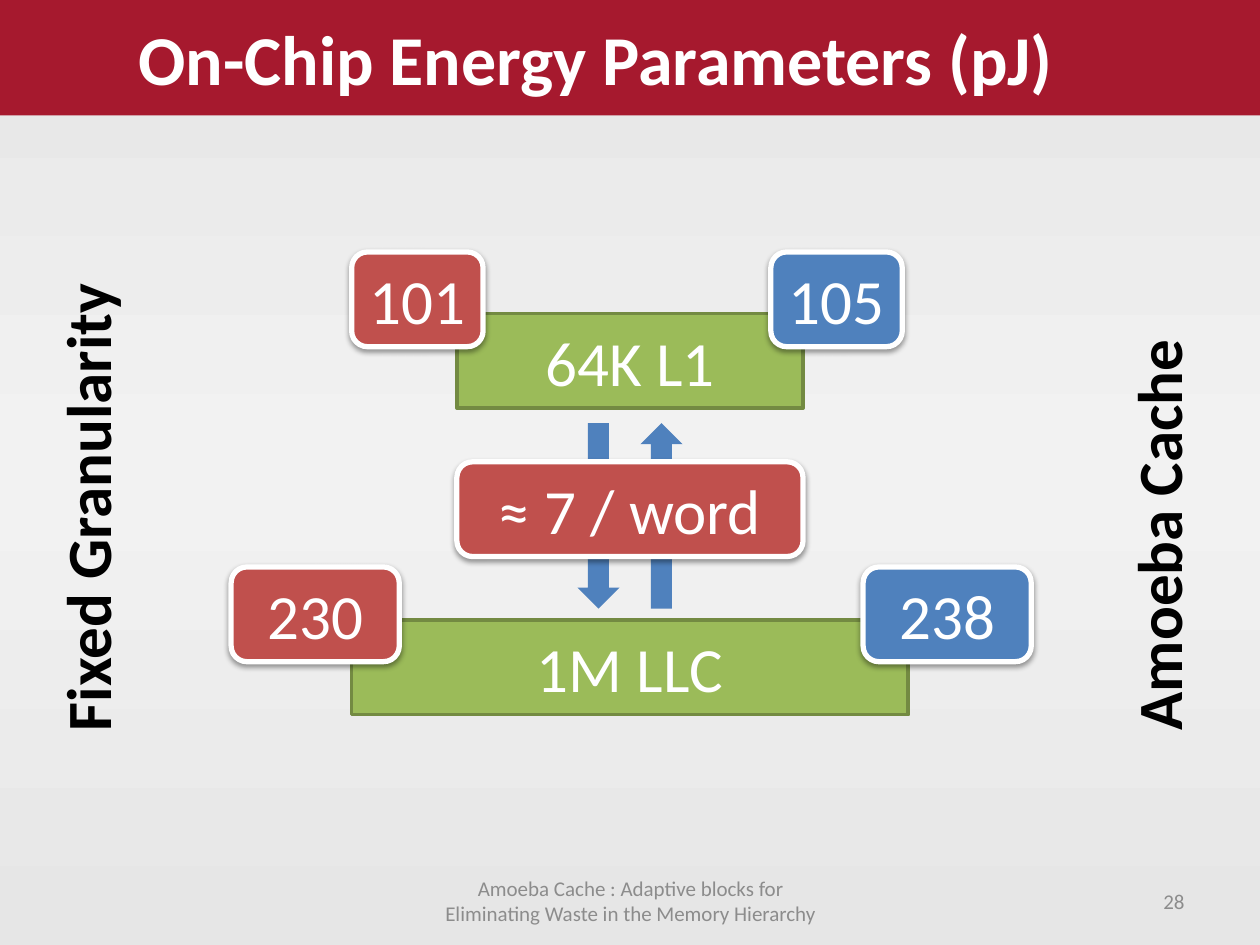
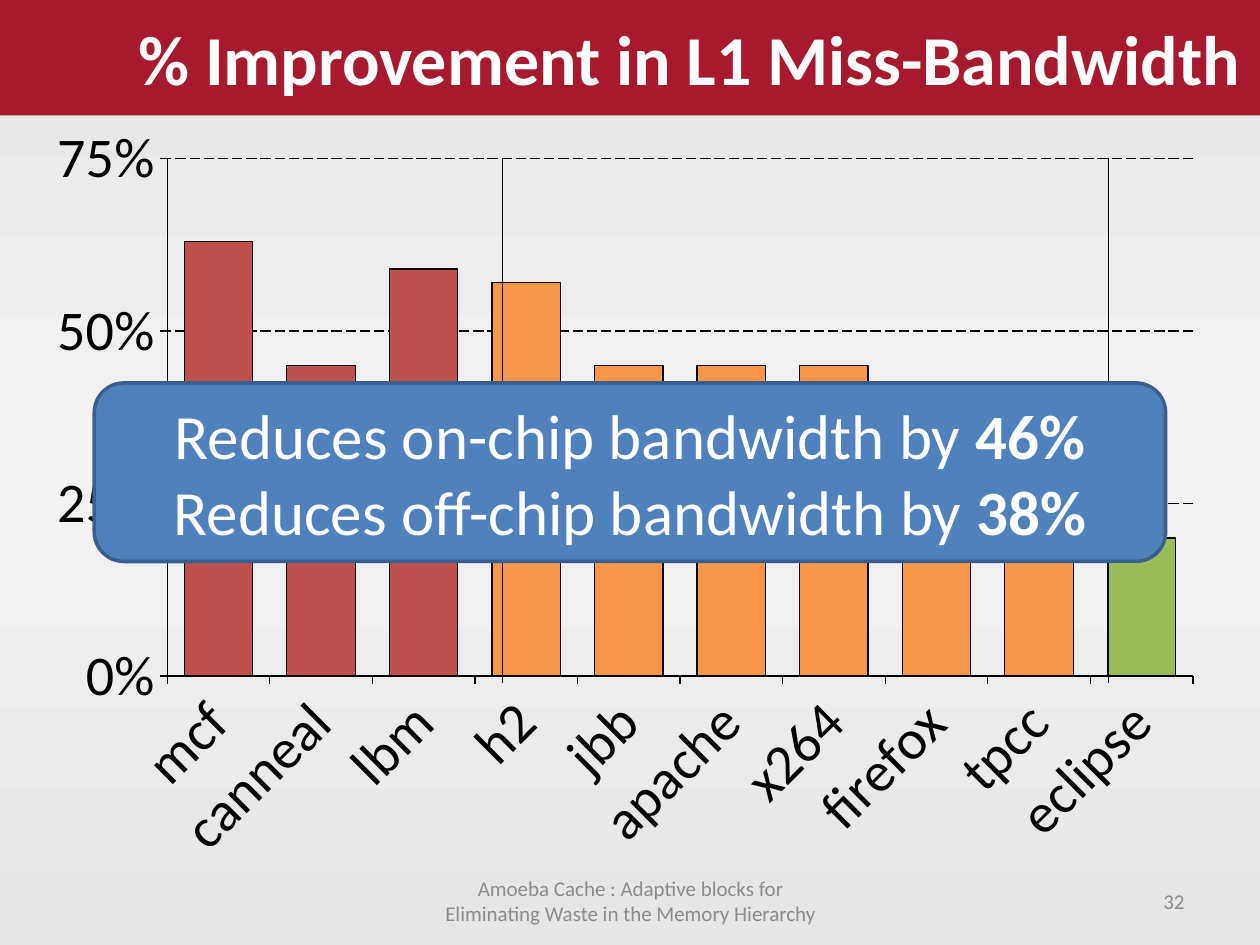
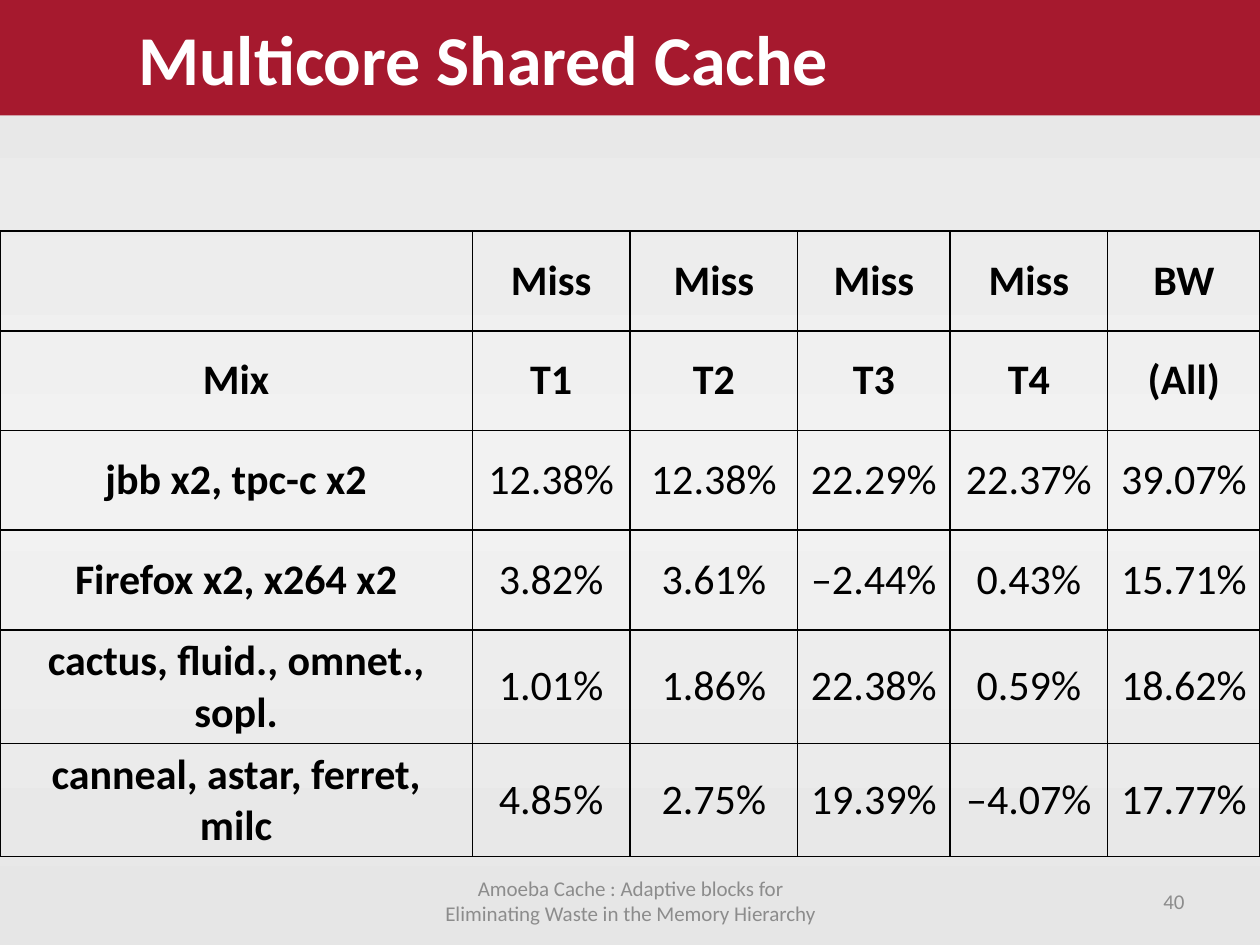
from copy import deepcopy

from pptx import Presentation
from pptx.chart.data import CategoryChartData
from pptx.dml.color import RGBColor
from pptx.enum.chart import XL_CHART_TYPE
from pptx.enum.dml import MSO_LINE
from pptx.enum.shapes import MSO_CONNECTOR, MSO_SHAPE
from pptx.enum.text import MSO_ANCHOR, PP_ALIGN
from pptx.oxml import parse_xml
from pptx.oxml.ns import nsdecls
from pptx.util import Cm, Pt

COLUMNS = XL_CHART_TYPE.COLUMN_CLUSTERED
LONG_DASH = MSO_LINE.LONG_DASH
STRAIGHT = MSO_CONNECTOR.STRAIGHT
RECT, ROUNDED = MSO_SHAPE.RECTANGLE, MSO_SHAPE.ROUNDED_RECTANGLE
DOWN, UP = MSO_SHAPE.DOWN_ARROW, MSO_SHAPE.UP_ARROW
TOP, MIDDLE = MSO_ANCHOR.TOP, MSO_ANCHOR.MIDDLE
LEFT, CENTER, RIGHT = PP_ALIGN.LEFT, PP_ALIGN.CENTER, PP_ALIGN.RIGHT

FONT = "Calibri"
BLACK = RGBColor(0x00, 0x00, 0x00)
WHITE = RGBColor(0xFF, 0xFF, 0xFF)
CRIMSON = RGBColor(0xA6, 0x19, 0x2E)
GRAY = RGBColor(0x8C, 0x8C, 0x8C)
BG_EDGE = RGBColor(0xE6, 0xE6, 0xE6)
BG_MIDDLE = RGBColor(0xF2, 0xF2, 0xF2)
GREEN = RGBColor(0x9B, 0xBB, 0x59)
DARK_GREEN = RGBColor(0x73, 0x8A, 0x42)
RED = RGBColor(0xC0, 0x50, 0x4D)
BLUE = RGBColor(0x4F, 0x81, 0xBD)
DARK_BLUE = RGBColor(0x3A, 0x5F, 0x8C)
ORANGE = RGBColor(0xF7, 0x96, 0x46)

SLIDE_W, SLIDE_H = 25.4, 19.05
BAND_H = 2.33
FOOTER = "Amoeba Cache : Adaptive blocks for Eliminating Waste in the Memory Hierarchy"

# Energy slide: text, left, top, width, (colour)
BOX_H = 1.91
CACHES = [("64K L1", 9.21, 6.32, 6.98), ("1M LLC", 7.09, 12.5, 11.22)]
BADGES = [
    ("101", 7.09, 5.08, 2.65, RED),
    ("230", 4.66, 11.43, 3.39, RED),
    ("≈ 7 / word", 9.21, 9.31, 6.98, RED),
    ("105", 15.54, 5.08, 2.65, BLUE),
    ("238", 17.4, 11.43, 3.39, BLUE),
]
ARROWS = [(DOWN, 11.64), (UP, 12.91)]
SIDE_LABELS = [("Fixed Granularity", 0.85, 5.61, 9.38),
               ("Amoeba Cache", 22.44, 6.76, 8.21)]

# Bandwidth slide
IMPROVEMENT = [
    ("mcf", 0.63, RED), ("canneal", 0.45, RED), ("lbm", 0.59, RED),
    ("h2", 0.57, ORANGE), ("jbb", 0.45, ORANGE), ("apache", 0.45, ORANGE),
    ("x264", 0.45, ORANGE), ("firefox", 0.32, ORANGE), ("tpcc", 0.4, ORANGE),
    ("eclipse", 0.2, GREEN),
]
PLOT_AREA = {"x": 0.103, "y": 0.052, "w": 0.88, "h": 0.624}
GROUP_DIVIDERS = [10.13, 22.35]
SAVINGS = [[("Reduces on-chip bandwidth by ", False), ("46%", True)],
           [("Reduces off-chip bandwidth by ", False), ("38%", True)]]

# Multicore slide
HEADER_ROWS = 2
COL_WIDTHS = [9.52, 3.18, 3.38, 3.07, 3.18, 3.07]
ROW_H = 2.01
MIXES = [
    ("", "Miss", "Miss", "Miss", "Miss", "BW"),
    ("Mix", "T1", "T2", "T3", "T4", "(All)"),
    ("jbb x2, tpc-c x2", "12.38%", "12.38%", "22.29%", "22.37%", "39.07%"),
    ("Firefox x2, x264 x2", "3.82%", "3.61%", "–2.44%", "0.43%", "15.71%"),
    ("cactus, fluid., omnet., sopl.", "1.01%", "1.86%", "22.38%", "0.59%", "18.62%"),
    ("canneal, astar, ferret, milc", "4.85%", "2.75%", "19.39%", "–4.07%", "17.77%"),
]


def write(tf, text, size=36, color=WHITE, bold=False, align=CENTER,
          anchor=MIDDLE, wrap=True):
    """Fill a text frame from a string or from paragraphs of (text, bold) runs."""
    tf.word_wrap = wrap
    tf.vertical_anchor = anchor
    paragraphs = [[(text, bold)]] if isinstance(text, str) else text
    for i, runs in enumerate(paragraphs):
        p = tf.add_paragraph() if i else tf.paragraphs[0]
        p.alignment = align
        for run_text, run_bold in runs:
            r = p.add_run()
            r.text = run_text
            r.font.name, r.font.size = FONT, Pt(size)
            r.font.bold, r.font.color.rgb = run_bold, color


def add_text(s, text, x, y, w, h, **fmt):
    sp = s.shapes.add_textbox(Cm(x), Cm(y), Cm(w), Cm(h))
    write(sp.text_frame, text, **fmt)
    return sp


def add_box(s, kind, x, y, w, h, fill, line=None, line_w=2, text=None, **fmt):
    sp = s.shapes.add_shape(kind, Cm(x), Cm(y), Cm(w), Cm(h))
    sp.shadow.inherit = False
    sp.fill.solid()
    sp.fill.fore_color.rgb = fill
    if line is None:
        sp.line.fill.background()
    else:
        set_line(sp.line, line, line_w)
    if text:
        write(sp.text_frame, text, **fmt)
    return sp


def set_line(line, color=BLACK, width=0.75):
    line.color.rgb = color
    line.width = Pt(width)


def add_drop_shadow(sp):
    effects = sp.element.spPr.find("{*}effectLst")
    effects.append(parse_xml(
        f'<a:outerShdw {nsdecls("a")} blurRad="40000" dist="20000" dir="5400000"'
        ' rotWithShape="0"><a:srgbClr val="000000"><a:alpha val="38000"/>'
        '</a:srgbClr></a:outerShdw>'))


def set_background(master):
    fill = master.background.fill
    fill.gradient()
    fill.gradient_angle = 90
    first, last = fill.gradient_stops
    first.color.rgb = last.color.rgb = BG_EDGE
    first.position, last.position = 0, 1
    stops = master.element.xpath(".//p:bg//a:gsLst")[0]
    stops.insert(1, deepcopy(stops[0]))
    middle = fill.gradient_stops[1]
    middle.color.rgb, middle.position = BG_MIDDLE, 0.5


def add_slide(prs, title, number):
    s = prs.slides.add_slide(prs.slide_layouts[6])
    band = add_box(s, RECT, 0, 0, SLIDE_W, BAND_H, CRIMSON, text=title,
                   size=40, bold=True, align=LEFT)
    band.text_frame.margin_left = Cm(2.79)
    add_text(s, FOOTER, 8.69, 17.65, 8.05, 1.02, size=12, color=GRAY)
    add_text(s, str(number), 18.21, 17.65, 5.92, 1.02, size=12, color=GRAY,
             align=RIGHT)
    return s


def build_energy(prs):
    s = add_slide(prs, "On-Chip Energy Parameters (pJ)", 28)
    for text, x, y, w in CACHES:
        add_box(s, RECT, x, y, w, BOX_H, GREEN, DARK_GREEN, text=text)
    for kind, x in ARROWS:
        add_box(s, kind, x, 8.53, 0.85, 3.74, BLUE)
    for text, x, y, w, color in BADGES:
        add_drop_shadow(add_box(s, ROUNDED, x, y, w, BOX_H, color, WHITE, 3, text))
    for text, x, y, h in SIDE_LABELS:
        sp = add_text(s, text, x, y, 2.05, h, color=BLACK, bold=True,
                      align=LEFT, anchor=TOP, wrap=False)
        sp.element.txBody.bodyPr.set("vert", "vert270")


def add_improvement_chart(s):
    names, values, colors = zip(*IMPROVEMENT)
    data = CategoryChartData(number_format="0%")
    data.categories = names
    data.add_series("Series 1", values)
    chart = s.shapes.add_chart(COLUMNS, Cm(0.95), Cm(BAND_H), Cm(23.5),
                               Cm(SLIDE_H - BAND_H), data).chart
    chart.has_legend = chart.has_title = False
    chart.font.name, chart.font.size = FONT, Pt(18)
    chart.font.color.rgb = BLACK

    plot = chart.plots[0]
    plot.gap_width, plot.vary_by_categories = 50, False
    for i, color in enumerate(colors):
        fmt = plot.series[0].points[i].format
        fmt.fill.solid()
        fmt.fill.fore_color.rgb = color
        set_line(fmt.line)

    for axis in (chart.category_axis, chart.value_axis):
        font = axis.tick_labels.font
        font.name, font.size, font.color.rgb = FONT, Pt(32), BLACK
        set_line(axis.format.line)
    axis = chart.value_axis
    axis.minimum_scale, axis.maximum_scale, axis.major_unit = 0, 0.75, 0.25
    axis.tick_labels.number_format = "0%"
    axis.tick_labels.number_format_is_linked = False
    grid = axis.major_gridlines.format.line
    set_line(grid)
    grid.dash_style = LONG_DASH

    root = chart.element
    root.xpath(".//c:catAx/c:txPr/a:bodyPr")[0].set("rot", "-2700000")
    area = root.xpath(".//c:plotArea")[0]
    for layout in area.xpath("./c:layout"):
        area.remove(layout)
    modes = "".join(f'<c:{k}Mode val="edge"/>' for k in "xy")
    sizes = "".join(f'<c:{k} val="{v}"/>' for k, v in PLOT_AREA.items())
    area.insert(0, parse_xml(
        f'<c:layout {nsdecls("c")}><c:manualLayout><c:layoutTarget val="inner"/>'
        f'{modes}{sizes}</c:manualLayout></c:layout>'))


def build_bandwidth(prs):
    s = add_slide(prs, "% Improvement in L1 Miss-Bandwidth", 32)
    add_improvement_chart(s)
    for x in GROUP_DIVIDERS:
        divider = s.shapes.add_connector(STRAIGHT, Cm(x), Cm(3.18), Cm(x), Cm(13.77))
        set_line(divider.line)
        divider.element.spPr.append(parse_xml(f'<a:effectLst {nsdecls("a")}/>'))
    add_box(s, ROUNDED, 1.9, 7.72, 21.6, 3.6, BLUE, DARK_BLUE, text=SAVINGS)


def set_borders(cell):
    tc_pr = cell._tc.get_or_add_tcPr()
    for i, side in enumerate("LRTB"):
        tc_pr.insert(i, parse_xml(
            f'<a:ln{side} {nsdecls("a")} w="12700"><a:solidFill>'
            f'<a:srgbClr val="{BLACK}"/></a:solidFill></a:ln{side}>'))


def build_multicore(prs):
    s = add_slide(prs, "Multicore Shared Cache", 40)
    table = s.shapes.add_table(len(MIXES), len(COL_WIDTHS), Cm(0), Cm(4.66),
                               Cm(SLIDE_W), Cm(ROW_H * len(MIXES))).table
    table.first_row = table.horz_banding = False
    for column, width in zip(table.columns, COL_WIDTHS):
        column.width = Cm(width)
    for i, row in enumerate(MIXES):
        table.rows[i].height = Cm(ROW_H)
        for j, text in enumerate(row):
            cell = table.cell(i, j)
            cell.fill.background()
            set_borders(cell)
            cell.vertical_anchor = MIDDLE
            if text:
                write(cell.text_frame, text, size=24, color=BLACK,
                      bold=i < HEADER_ROWS or j == 0, anchor=None, wrap=None)


def main():
    prs = Presentation()
    prs.slide_width, prs.slide_height = Cm(SLIDE_W), Cm(SLIDE_H)
    set_background(prs.slide_master)
    build_energy(prs)
    build_bandwidth(prs)
    build_multicore(prs)
    prs.save("out.pptx")


if __name__ == "__main__":
    main()
